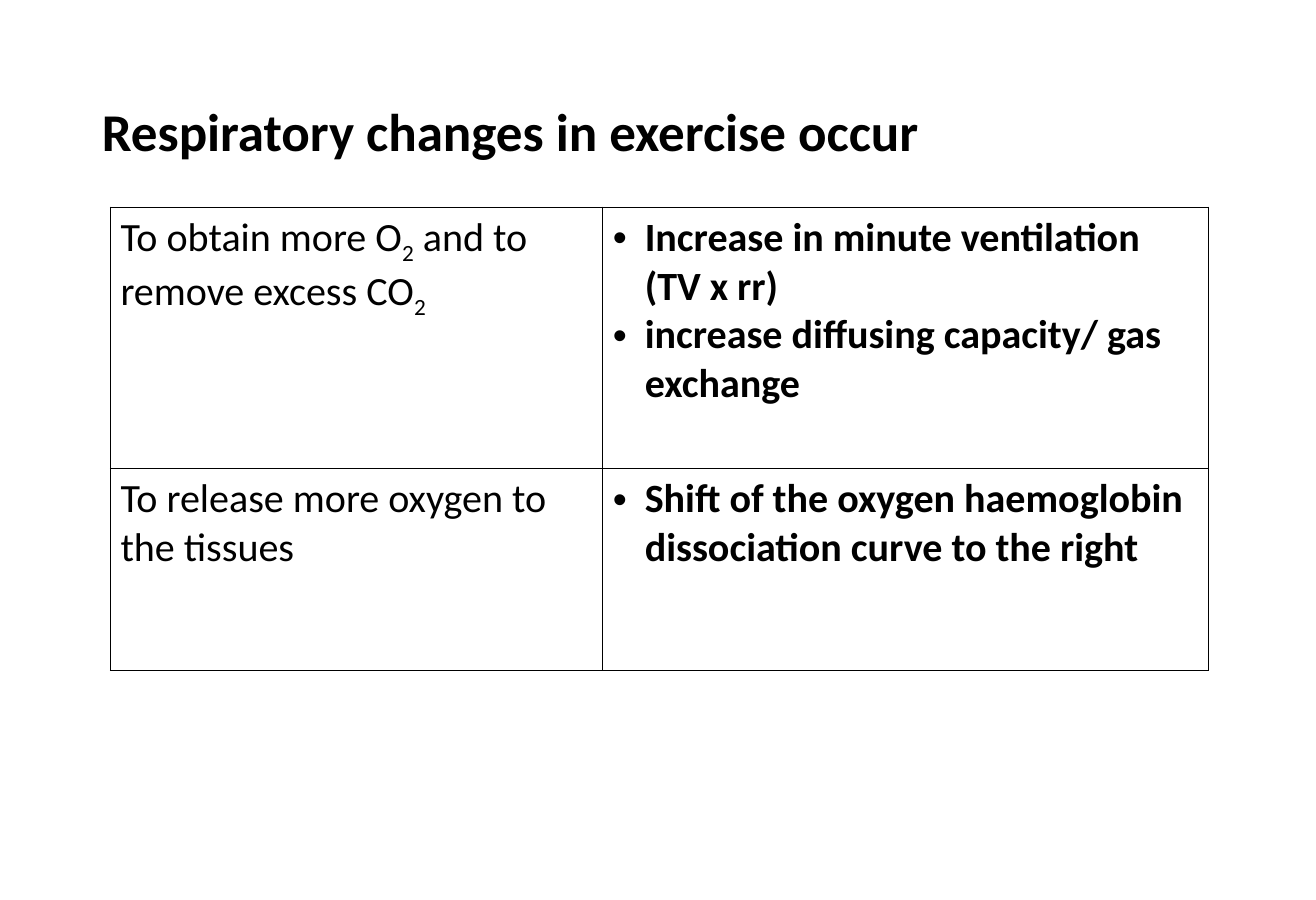
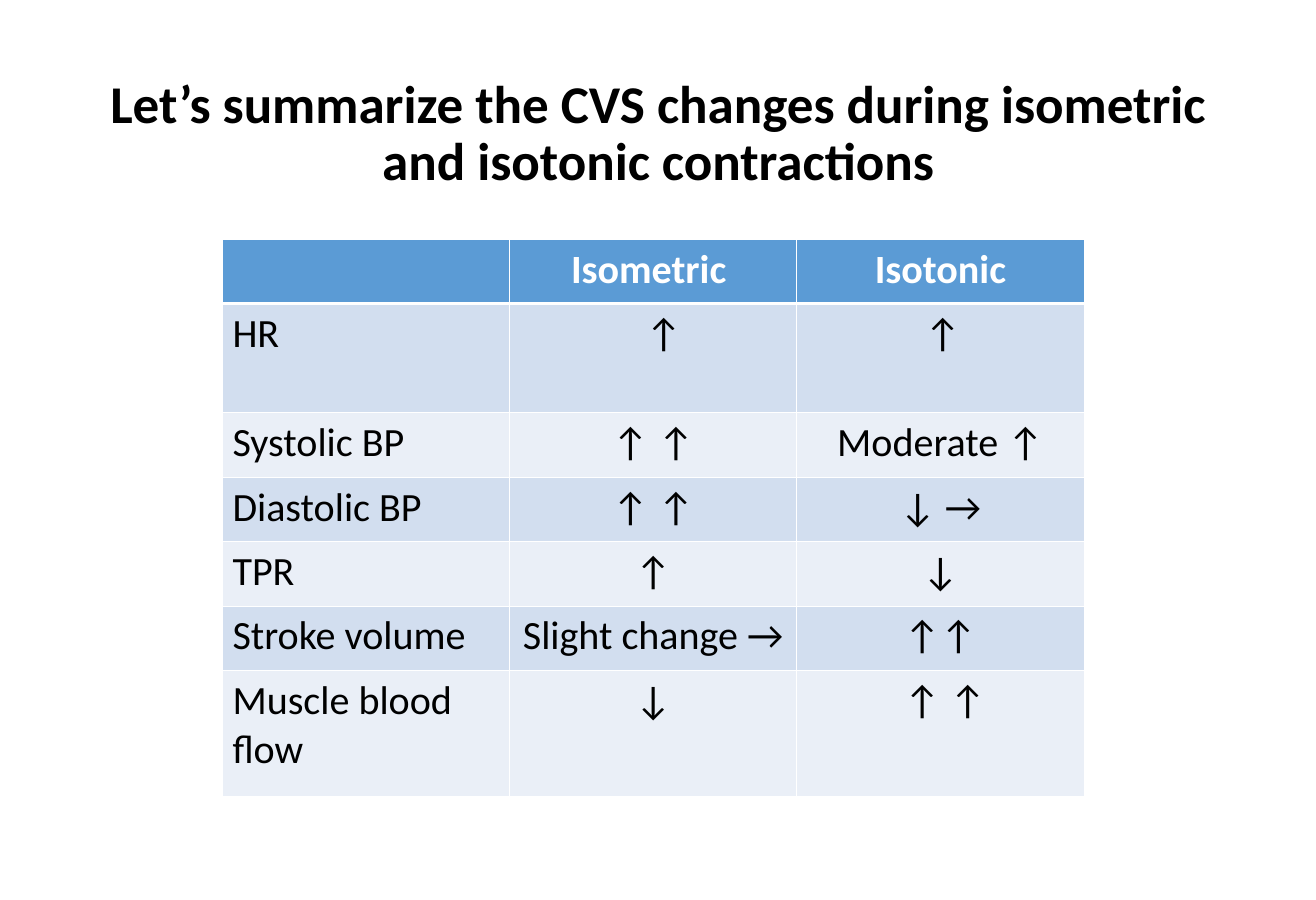
from dataclasses import dataclass

from lxml.etree import SubElement
from pptx import Presentation
from pptx.dml.color import RGBColor as Rgb
from pptx.enum.text import MSO_ANCHOR as Anchor, PP_ALIGN as Align
from pptx.oxml.ns import qn
from pptx.util import Pt


@dataclass(frozen=True)
class Theme:
    font: str = "Calibri"
    bullet_font: str = "Arial"
    title_size: float = 45
    body_size: float = 34
    ink: str = "000000"
    paper: str = "FFFFFF"
    header: str = "5B9BD5"
    bands: tuple = ("D2DEEF", "EAEFF7")
    thin: float = 1
    thick: float = 3
    bullet_indent: float = 27


THEME = Theme()
PAGE_SIZE = (1116, 763.2)
TITLE_BOX = (77, 40.3, 962.6, 147.6)
REASONS_BOX = (93.6, 175.7)
SUMMARY_BOX = (188.6, 203)

REASONS = [
    ("To obtain more O|2| and to remove excess CO|2|",
     ["Increase in minute ventilation (TV x rr)",
      "increase diffusing capacity/ gas exchange"]),
    ("To release more oxygen to the tissues",
     ["Shift of the oxygen haemoglobin dissociation curve to the right"]),
]
SUMMARY = [
    ("", "Isometric ", "Isotonic"),
    ("HR", "↑", "↑"),
    ("Systolic BP", "↑ ↑", "Moderate ↑"),
    ("Diastolic BP", "↑ ↑", "↓ →"),
    ("TPR", "↑", "↓"),
    ("Stroke volume", "Slight change →", "↑↑"),
    ("Muscle blood flow", "↓", " ↑ ↑"),
]
SUMMARY_SHIFTS = {(1, 1): 18, (1, 2): 4}


def set_all(target, values):
    for name, value in values.items():
        setattr(target, name, value)


def write(para, text, size, color, bold=False):
    for index, part in enumerate(text.split("|")):
        if not part:
            continue
        span = para.add_run()
        span.text = part
        set_all(span.font, {"name": THEME.font, "size": Pt(size), "bold": bold})
        span.font.color.rgb = Rgb.from_string(color)
        if index % 2:
            span.font._element.set("baseline", "-25000")


def add_bullet(para):
    props = para._p.get_or_add_pPr()
    indent = Pt(THEME.bullet_indent)
    props.set("marL", str(indent))
    props.set("indent", str(-indent))
    SubElement(props, qn("a:buFont"), typeface=THEME.bullet_font)
    SubElement(props, qn("a:buChar"), char="•")


def set_borders(cell, color, top=THEME.thin, bottom=THEME.thin):
    props = cell._tc.get_or_add_tcPr()
    widths = {"lnL": THEME.thin, "lnR": THEME.thin, "lnT": top, "lnB": bottom}
    for side, width in widths.items():
        line = SubElement(props, qn(f"a:{side}"), w=str(Pt(width)))
        fill = SubElement(line, qn("a:solidFill"))
        SubElement(fill, qn("a:srgbClr"), val=color)


def set_margins(cell, shift=0):
    set_all(cell, {"margin_left": Pt(8.64 + shift), "margin_right": Pt(8.64),
                   "margin_top": Pt(5.04), "margin_bottom": Pt(5.04),
                   "vertical_anchor": Anchor.TOP})


def add_title(page, box, text, align):
    title = page.shapes.add_textbox(*map(Pt, box))
    frame = title.text_frame
    set_all(frame, {"word_wrap": True, "vertical_anchor": Anchor.MIDDLE,
                    "margin_left": Pt(9.4), "margin_right": Pt(9.4),
                    "margin_top": Pt(4.3), "margin_bottom": Pt(4.3)})
    para = frame.paragraphs[0]
    set_all(para, {"alignment": align, "line_spacing": 0.9})
    write(para, text, THEME.title_size, THEME.ink, True)


def add_grid(page, corner, widths, heights):
    left, top = corner
    table = page.shapes.add_table(
        len(heights), len(widths), Pt(left), Pt(top),
        Pt(sum(widths)), Pt(sum(heights))).table
    set_all(table, {"first_row": False, "horz_banding": False})
    for column, width in zip(table.columns, widths):
        column.width = Pt(width)
    for row, height in zip(table.rows, heights):
        row.height = Pt(height)
    return table


def add_reasons(page, corner):
    table = add_grid(page, corner, [417.6, 514], [222, 170.6])
    for row, (reason, changes) in enumerate(REASONS):
        for column, lines in enumerate(([reason], changes)):
            cell = table.cell(row, column)
            set_margins(cell)
            set_borders(cell, THEME.ink)
            cell.fill.background()
            frame = cell.text_frame
            for index, line in enumerate(lines):
                para = frame.add_paragraph() if index else frame.paragraphs[0]
                if column:
                    add_bullet(para)
                write(para, line, THEME.body_size, THEME.ink, column == 1)


def add_summary(page, corner):
    line_height = 54.7
    heights = [line_height, 92.2] + [line_height] * 4 + [106.6]
    table = add_grid(page, corner, [243.6] * 3, heights)
    for row, texts in enumerate(SUMMARY):
        is_header = row == 0
        fill = THEME.header if is_header else THEME.bands[(row - 1) % 2]
        color = THEME.paper if is_header else THEME.ink
        for column, text in enumerate(texts):
            cell = table.cell(row, column)
            set_margins(cell, SUMMARY_SHIFTS.get((row, column), 0))
            set_borders(cell, THEME.paper,
                        top=THEME.thick if row == 1 else THEME.thin,
                        bottom=THEME.thick if is_header else THEME.thin)
            cell.fill.solid()
            cell.fill.fore_color.rgb = Rgb.from_string(fill)
            para = cell.text_frame.paragraphs[0]
            para.alignment = Align.CENTER if column else Align.LEFT
            write(para, text, THEME.body_size, color, is_header)


def add_page(deck):
    page = deck.slides.add_slide(deck.slide_layouts[6])
    page.background.fill.solid()
    page.background.fill.fore_color.rgb = Rgb.from_string(THEME.paper)
    return page


def main():
    deck = Presentation()
    width, height = PAGE_SIZE
    set_all(deck, {"slide_width": Pt(width), "slide_height": Pt(height)})

    reasons_page = add_page(deck)
    add_title(reasons_page, TITLE_BOX,
              "Respiratory changes in exercise occur", Align.LEFT)
    add_reasons(reasons_page, REASONS_BOX)

    summary_page = add_page(deck)
    add_title(summary_page, TITLE_BOX,
              "Let’s summarize the CVS changes during isometric "
              "and isotonic contractions", Align.CENTER)
    add_summary(summary_page, SUMMARY_BOX)

    deck.save("out.pptx")


if __name__ == "__main__":
    main()
